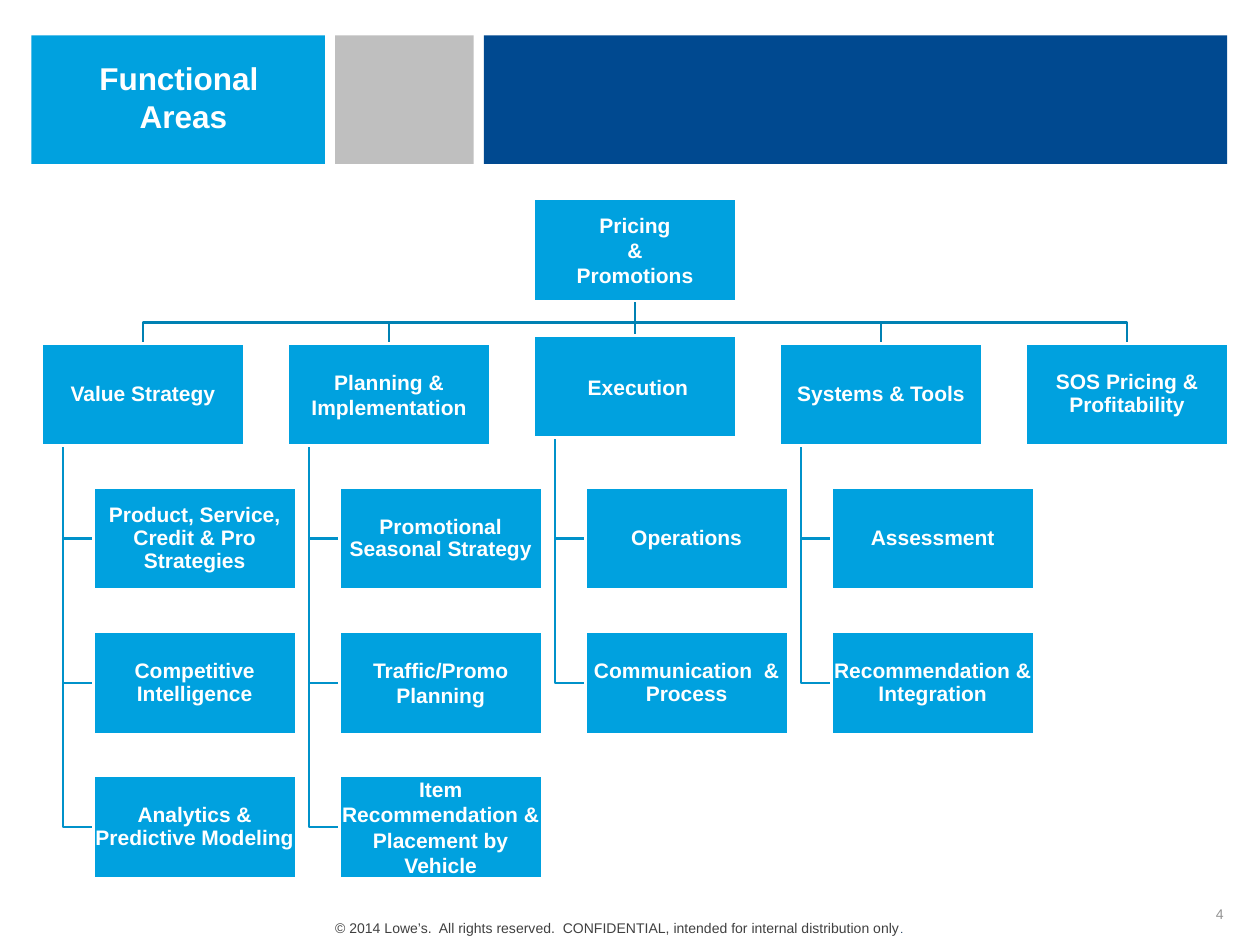
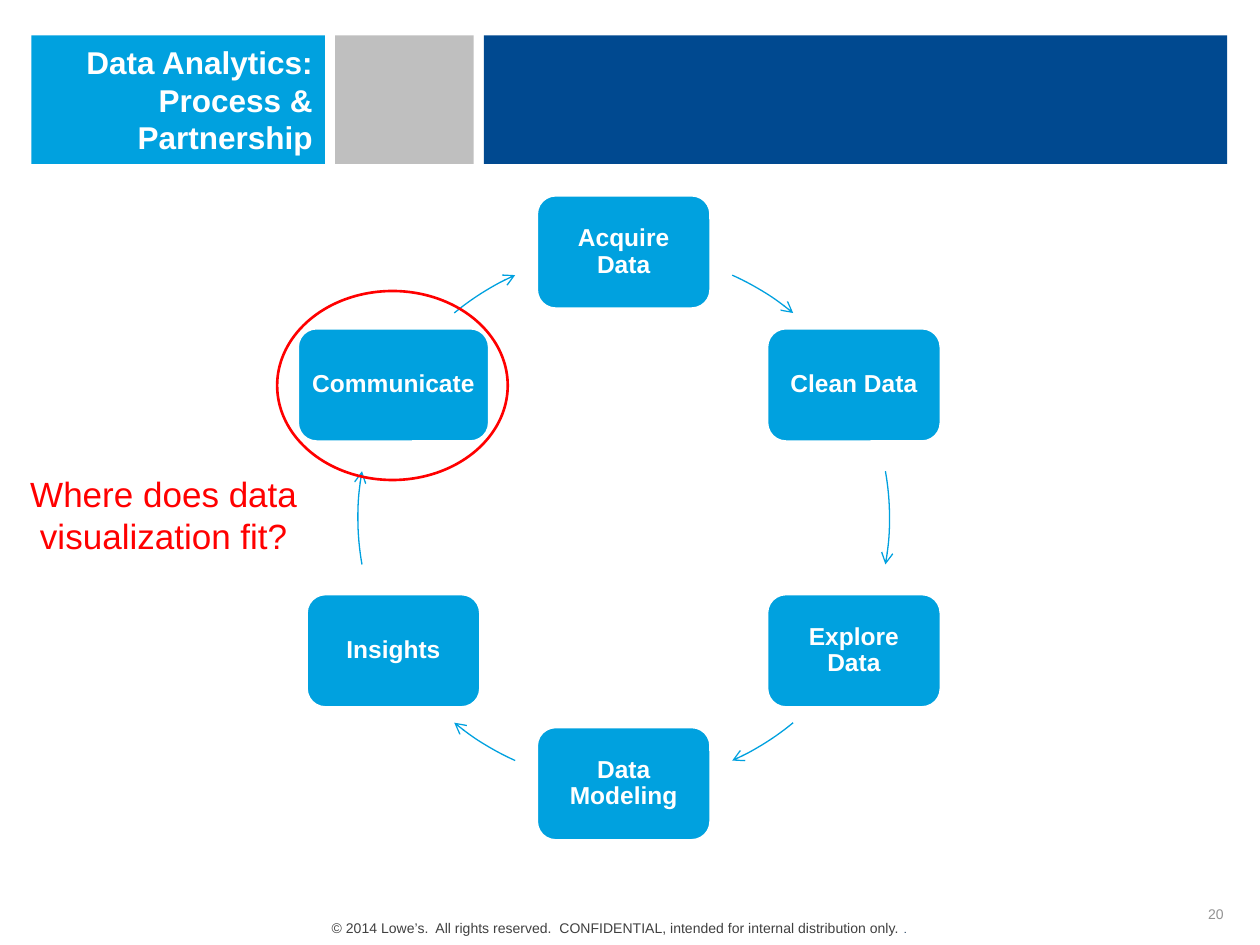
from dataclasses import dataclass
from itertools import chain
from math import cos, radians, sin

from lxml import etree
from pptx import Presentation
from pptx.dml.color import RGBColor
from pptx.enum.shapes import MSO_SHAPE
from pptx.enum.text import MSO_ANCHOR, PP_ALIGN
from pptx.oxml.ns import qn
from pptx.util import Inches, Pt

RECT, ROUND = MSO_SHAPE.RECTANGLE, MSO_SHAPE.ROUNDED_RECTANGLE
ARC, ELLIPSE = MSO_SHAPE.ARC, MSO_SHAPE.OVAL
TOP, MIDDLE = MSO_ANCHOR.TOP, MSO_ANCHOR.MIDDLE
CENTER, RIGHT = PP_ALIGN.CENTER, PP_ALIGN.RIGHT


@dataclass(frozen=True)
class Theme:
    font: str = "Arial"
    sky: str = "00A1DF"
    navy: str = "004990"
    grey: str = "BFBFBF"
    white: str = "FFFFFF"
    red: str = "FF0000"
    trunk: str = "0081B3"
    branch: str = "0092CA"
    number: str = "939393"
    footer: str = "404040"
    footer_dot: str = "002448"
    title_size: int = 18
    question_size: int = 20
    step_size: int = 14
    unit_size: int = 12
    footer_size: int = 8
    dot_size: int = 6
    rule: float = 1.5
    thin: float = 0.75


T = Theme()

# Content
COPYRIGHT = ("© 2014 Lowe’s.  All rights reserved.  CONFIDENTIAL, "
             "intended for internal distribution only")

AREAS = {
    "title": ["Functional ", "Areas"], "title_align": CENTER,
    "title_box": (0.33, 0.42, 2.25, 0.71),
    "number": "4", "footer": COPYRIGHT,
}
ROOT = ["Pricing", "&", "Promotions"]
UNITS = [
    ("Value Strategy", ["Product, Service, Credit & Pro Strategies",
                        "Competitive Intelligence",
                        "Analytics & Predictive Modeling"]),
    ("Planning & Implementation", ["Promotional Seasonal Strategy",
                                   "Traffic/Promo Planning",
                                   "Item Recommendation & Placement by Vehicle"]),
    (" Execution", ["Operations", "Communication  & Process"]),
    ("Systems & Tools", ["Assessment", "Recommendation & Integration"]),
    ("SOS Pricing & Profitability", []),
]
FULL_SPACED = {"Planning & Implementation", "Traffic/Promo Planning",
               "Item Recommendation & Placement by Vehicle", " Execution"}
RAISED = {" Execution": 0.06}

PROCESS = {
    "title": ["Data Analytics: Process & Partnership"], "title_align": RIGHT,
    "title_box": (0.33, 0.29, 2.25, 1.01),
    "number": "20", "footer": COPYRIGHT + ". ",
}
QUESTION = "Where does data visualization fit?"
STEPS = ["Acquire Data", "Clean Data", "Explore Data",
         "Data Modeling", "Insights", "Communicate"]
STEP_WIDTHS = {"Communicate": 1.52}

# Geometry in inches
BANDS = [(0.25, 2.33, T.sky), (2.66, 1.1, T.grey), (3.84, 5.9, T.navy)]
BAND_TOP, BAND_H = 0.28, 1.02
UNIT_W, UNIT_H = 1.61, 0.81
COLUMN_LEFT, COLUMN_STEP = 0.33, 7.81 / 4
ROW_TOP, ROW_STEP = 1.58, 4.58 / 4
TRUNK_INDENT, CHILD_INDENT = 0.17, 0.41
RING_X, RING_Y, RING_R = 4.95, 4.11, 2.11
STEP_W, STEP_H = 1.38, 0.9
HALF_TURN_ARCS = [(24.1, 39.6), (79.9, 100.1), (140.4, 155.9)]  # from 12 o'clock


def rgb(value):
    return RGBColor.from_string(value)


def write(shape, paragraphs, align=CENTER, anchor=TOP, inset=None,
          spacing=None, wrap=True):
    """Fill a shape with paragraphs, each a list of (text, size, colour, bold)."""
    tf = shape.text_frame
    tf.word_wrap = wrap
    tf.vertical_anchor = anchor
    if inset is not None:
        tf.margin_left = tf.margin_right = Inches(inset)
        tf.margin_top = tf.margin_bottom = Inches(inset)
    for i, runs in enumerate(paragraphs):
        p = tf.add_paragraph() if i else tf.paragraphs[0]
        p.alignment = align
        if spacing:
            p.line_spacing = spacing
        for text, size, colour, bold in runs:
            r = p.add_run()
            r.text = text
            r.font.name, r.font.size, r.font.bold = T.font, Pt(size), bold
            r.font.color.rgb = rgb(colour)


def add_text(s, box, paragraphs, **layout):
    sp = s.shapes.add_textbox(*map(Inches, box))
    write(sp, paragraphs, **layout)


def style(sp, fill=None, line=None, width=T.rule):
    sp.shadow.inherit = False
    if fill:
        sp.fill.solid()
        sp.fill.fore_color.rgb = rgb(fill)
    else:
        sp.fill.background()
    if line:
        sp.line.color.rgb = rgb(line)
        sp.line.width = Pt(width)
    else:
        sp.line.fill.background()
    return sp


def add_shape(s, kind, box, **look):
    return style(s.shapes.add_shape(kind, *map(Inches, box)), **look)


def add_path(s, points, colour):
    start, *rest = [(Inches(x), Inches(y)) for x, y in points]
    builder = s.shapes.build_freeform(*start)
    builder.add_line_segments(rest, close=False)
    style(builder.convert_to_shape(), line=colour)


def add_frame(prs, page):
    """Add a slide with its bands, number, title and copyright line."""
    s = prs.slides.add_slide(prs.slide_layouts[6])
    for left, width, colour in BANDS:
        add_shape(s, RECT, (left, BAND_TOP, width, BAND_H), fill=colour)
    add_text(s, (7.48, 7.11, 2.33, 0.29),
             [[(page["number"], T.footer_size, T.number, False)]],
             align=RIGHT, anchor=MIDDLE)
    add_text(s, page["title_box"],
             [[(line, T.title_size, T.white, True)] for line in page["title"]],
             align=page["title_align"])
    add_text(s, (2.5, 7.25, 4.83, 0.24),
             [[(page["footer"], T.footer_size, T.footer, False),
               (".", T.dot_size, T.footer_dot, False)]], wrap=False)
    return s


def add_unit(s, left, top, lines, spacing):
    sp = add_shape(s, RECT, (left, top, UNIT_W, UNIT_H), fill=T.sky, line=T.white)
    write(sp, [[(line, T.unit_size, T.white, True)] for line in lines],
          anchor=MIDDLE, inset=0.01, spacing=spacing)


def build_areas(prs):
    s = add_frame(prs, AREAS)
    root_left = COLUMN_LEFT + 2 * COLUMN_STEP
    root_x, root_bottom = root_left + UNIT_W / 2, ROW_TOP + UNIT_H
    boxes, links = [(root_left, ROW_TOP, ROOT, None)], []
    for column, (head, children) in enumerate(UNITS):
        left = COLUMN_LEFT + column * COLUMN_STEP
        top = ROW_TOP + ROW_STEP - RAISED.get(head, 0)
        x, bar_y = left + UNIT_W / 2, root_bottom + 0.17
        corners = [] if left == root_left else [(root_x, bar_y), (x, bar_y)]
        links.append(([(root_x, root_bottom), *corners, (x, top)], T.trunk))
        child_left, trunk_x = left + CHILD_INDENT, left + TRUNK_INDENT
        for row, label in enumerate([head, *children], 1):
            spacing = None if label in FULL_SPACED else 0.9
            if row == 1:
                boxes.append((left, top, [label], spacing))
                continue
            child_top = ROW_TOP + row * ROW_STEP
            middle = child_top + UNIT_H / 2
            boxes.append((child_left, child_top, [label], spacing))
            links.append(([(trunk_x, top + UNIT_H), (trunk_x, middle),
                           (child_left, middle)], T.branch))
    for points, colour in reversed(links):
        add_path(s, points, colour)
    for box in boxes:
        add_unit(s, *box)


def add_arc_arrow(s, start, end):
    """Draw an arrow along the ring between two clockwise angles from the top."""
    sp = add_shape(s, ARC, (RING_X - RING_R, RING_Y - RING_R, 2 * RING_R, 2 * RING_R),
                   line=T.sky, width=T.thin)
    for i, angle in enumerate((start, end)):
        sp.adjustments[i] = (angle - 90) % 360 * 0.6  # 60000ths over 100000
    ln = sp.line._get_or_add_ln()
    etree.SubElement(ln, qn("a:tailEnd"), type="arrow")


def build_process(prs):
    s = add_frame(prs, PROCESS)
    add_text(s, (0.1, 3.58, 2.4, 1),
             [[(QUESTION, T.question_size, T.red, False)]], anchor=MIDDLE)
    arcs = chain(HALF_TURN_ARCS, [(a + 180, b + 180) for a, b in HALF_TURN_ARCS])
    for i, (label, arc) in enumerate(zip(STEPS, arcs)):
        angle = radians(i * 360 / len(STEPS) - 90)
        x, y = RING_X + RING_R * cos(angle), RING_Y + RING_R * sin(angle)
        width = STEP_WIDTHS.get(label, STEP_W)
        sp = add_shape(s, ROUND, (x - width / 2, y - STEP_H / 2, width, STEP_H),
                       fill=T.sky, line=T.white)
        write(sp, [[(label, T.step_size, T.white, True)]],
              anchor=MIDDLE, inset=0.06, spacing=0.9)
        add_arc_arrow(s, *arc)
    add_shape(s, ELLIPSE, (2.2, 2.31, 1.83, 1.5), line=T.red)


def main():
    prs = Presentation()
    prs.slide_width, prs.slide_height = Inches(10), Inches(7.5)
    build_areas(prs)
    build_process(prs)
    prs.save("out.pptx")


if __name__ == "__main__":
    main()
